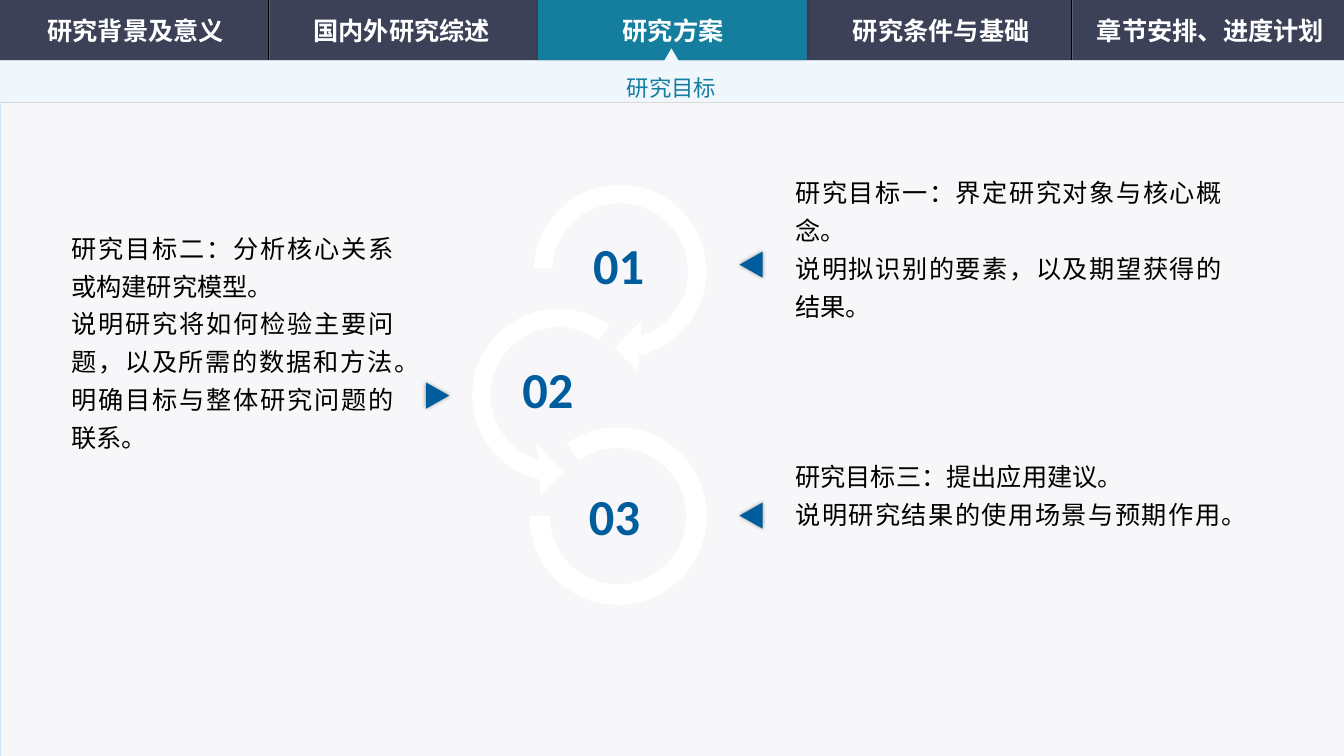
from lxml import etree
from pptx import Presentation
from pptx.dml.color import RGBColor
from pptx.enum.shapes import MSO_CONNECTOR, MSO_SHAPE as SHAPE
from pptx.enum.text import MSO_ANCHOR as ANCHOR, PP_ALIGN as ALIGN
from pptx.oxml.ns import qn
from pptx.util import Pt

PX = 9144
W, H = 1333, 750
CJK = "Noto Sans CJK SC"
NAVY, TEAL, BLUE, WHITE = "3C4157", "157E9F", "005D9D", "FFFFFF"

TABS = ["研究背景及意义", "国内外研究综述", "研究方案", "研究条件与基础", "章节安排、进度计划"]
TAB_LEFTS = [2, 266, 535, 801, 1068]
DIVIDERS = [266, 533, 799, 1063]
GOAL_1 = ["研究目标一：界定研究对象与核心概念。",
          "说明拟识别的要素，以及期望获得的结果。"]
GOAL_2 = ["研究目标二：分析核心关系或构建研究模型。",
          "说明研究将如何检验主要问题，以及所需的数据和方法。",
          "明确目标与整体研究问题的联系。"]
GOAL_3 = ["研究目标三：提出应用建议。",
          "说明研究结果的使用场景与预期作用。"]


def emu(*lengths):
    """Turn px lengths into EMU."""
    return [n * PX for n in lengths]


def rgb(color):
    """Turn a hex string into a colour."""
    return RGBColor.from_string(color)


def paint(sp, fill, line=None):
    """Fill a shape, outline it if asked, and drop its theme shadow."""
    sp.shadow.inherit = False
    sp.fill.solid()
    sp.fill.fore_color.rgb = rgb(fill)
    if line:
        sp.line.color.rgb = rgb(line)
        sp.line.width = Pt(0.5)
    else:
        sp.line.fill.background()
    return sp


def add_shape(s, kind, box, fill, line=None, adj=()):
    """Add a painted preset shape."""
    sp = paint(s.shapes.add_shape(kind, *emu(*box)), fill, line)
    for i, value in enumerate(adj):
        sp.adjustments[i] = value
    return sp


def add_shadow(sp, alpha, angle=0):
    """Give a shape a soft black outer shadow."""
    effects = sp._element.spPr.find(qn("a:effectLst"))
    shadow = etree.SubElement(effects, qn("a:outerShdw"), blurRad=str(Pt(3)),
                              dist="0", dir=str(angle * 60000), algn="ctr", rotWithShape="0")
    color = etree.SubElement(shadow, qn("a:srgbClr"), val="000000")
    etree.SubElement(color, qn("a:alpha"), val=str(alpha * 1000))


def add_line(s, x1, y1, x2, y2, color, width=0.5):
    """Add a straight line without a shadow."""
    c = s.shapes.add_connector(MSO_CONNECTOR.STRAIGHT, *emu(x1, y1, x2, y2))
    c.line.color.rgb = rgb(color)
    c.line.width = Pt(width)
    etree.SubElement(c._element.spPr, qn("a:effectLst"))


def add_text(s, box, lines, size=18, color="000000", bold=False, font=CJK,
             align=ALIGN.LEFT, anchor=ANCHOR.TOP, spacing=1.0, wrap=True):
    """Add a text box with one paragraph for each line."""
    tf = s.shapes.add_textbox(*emu(*box)).text_frame
    tf.word_wrap = wrap
    tf.vertical_anchor = anchor
    for i, line in enumerate(lines):
        p = tf.add_paragraph() if i else tf.paragraphs[0]
        p.alignment = align
        p.line_spacing = spacing
        r = p.add_run()
        r.text = line
        r.font.size = Pt(size)
        r.font.bold = bold
        r.font.color.rgb = rgb(color)
        r.font.name = font
        etree.SubElement(r._r.get_or_add_rPr(), qn("a:ea"), typeface=font)


def add_navigation(s, x, y, w, h):
    """Draw the tab bar with the third tab selected."""
    add_shape(s, SHAPE.RECTANGLE, (x, y, w, h), NAVY)
    for left in DIVIDERS:
        add_line(s, x + left, y, x + left, y + h, "000000")
        add_line(s, x + left + 1, y, x + left + 1, y + h, "596181", 0.75)
    selected = add_shape(s, SHAPE.RECTANGLE, (x + 533, y, 267, h), TEAL)
    add_shadow(selected, 20, 270)
    for left, label in zip(TAB_LEFTS, TABS):
        add_text(s, (x + left, y + 10, 265, 41), [label], color=WHITE, bold=True,
                 align=ALIGN.CENTER, anchor=ANCHOR.MIDDLE)


def add_subtitle(s, x, y, w, h):
    """Draw the pale band that points up at the selected tab, and its title."""
    mid = x + w // 2
    fb = s.shapes.build_freeform(mid, y - 12, scale=PX)
    fb.add_line_segments([(mid + 7, y), (x + w, y), (x + w, y + h),
                          (x, y + h), (x, y), (mid - 7, y)])
    paint(fb.convert_to_shape(), "EFF6FC")
    add_line(s, x, y + h, x + w, y + h, "D9D9D9")
    add_text(s, (mid - 54, y - 3, 110, 46), ["研究目标"], size=16, color=TEAL,
             anchor=ANCHOR.MIDDLE, spacing=1.5, wrap=False)


def add_cycle(s, x, y):
    """Draw the chain of three white rings with their numbers."""
    first = add_shape(s, SHAPE.LEFT_CIRCULAR_ARROW, (x + 61, y, 204, 204), WHITE,
                      adj=(0.089, 11.423, 62.936, 214.797, 0.125))
    first._element.spPr.find(qn("a:xfrm")).set("flipH", "1")
    add_shape(s, SHAPE.LEFT_CIRCULAR_ARROW, (x, y + 123, 204, 204), WHITE,
              adj=(0.089, 11.423, 62.936, 183.859, 0.125))
    add_shape(s, SHAPE.BLOCK_ARC, (x + 73, y + 257, 176, 176), WHITE,
              adj=(140.954, 108, 0.115))
    for number, dx, dy in (("01", 119, 60), ("02", 49, 183), ("03", 115, 309)):
        add_text(s, (x + dx, y + dy, 85, 71), [number], size=36, color=BLUE, bold=True,
                 font="Calibri", align=ALIGN.CENTER, wrap=False)


def add_goal(s, box, lines, pointer, turn):
    """Write one goal and the triangle that links it to the rings."""
    sp = add_shape(s, SHAPE.ISOSCELES_TRIANGLE, (*pointer, 26, 23), BLUE)
    sp.rotation = turn
    add_shadow(sp, 40)
    add_text(s, box, lines, align=ALIGN.JUSTIFY, spacing=1.25)


def main():
    """Build the slide and save it."""
    prs = Presentation()
    prs.slide_width, prs.slide_height = emu(W, H)
    s = prs.slides.add_slide(prs.slide_layouts[6])
    add_shape(s, SHAPE.RECTANGLE, (0, 60, W, H - 60), "F7F7F9", "D4E7F9")
    add_navigation(s, 0, 0, W, 60)
    add_subtitle(s, 0, 60, W, 42)
    add_cycle(s, 452, 167)
    add_goal(s, (779, 164, 443, 200), GOAL_1, (732, 251), 270)
    add_goal(s, (61, 219, 340, 427), GOAL_2, (421, 381), 90)
    add_goal(s, (779, 445, 443, 124), GOAL_3, (732, 500), 270)
    prs.save("out.pptx")


if __name__ == "__main__":
    main()
